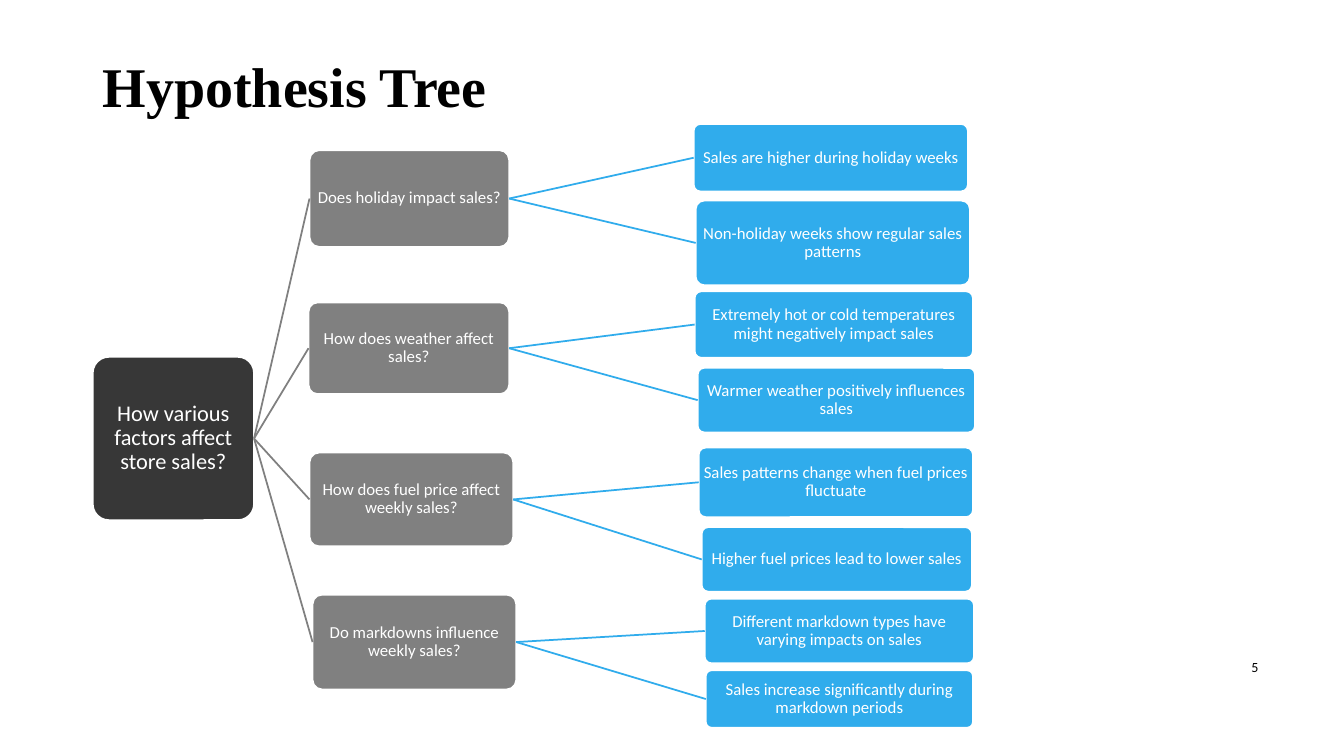
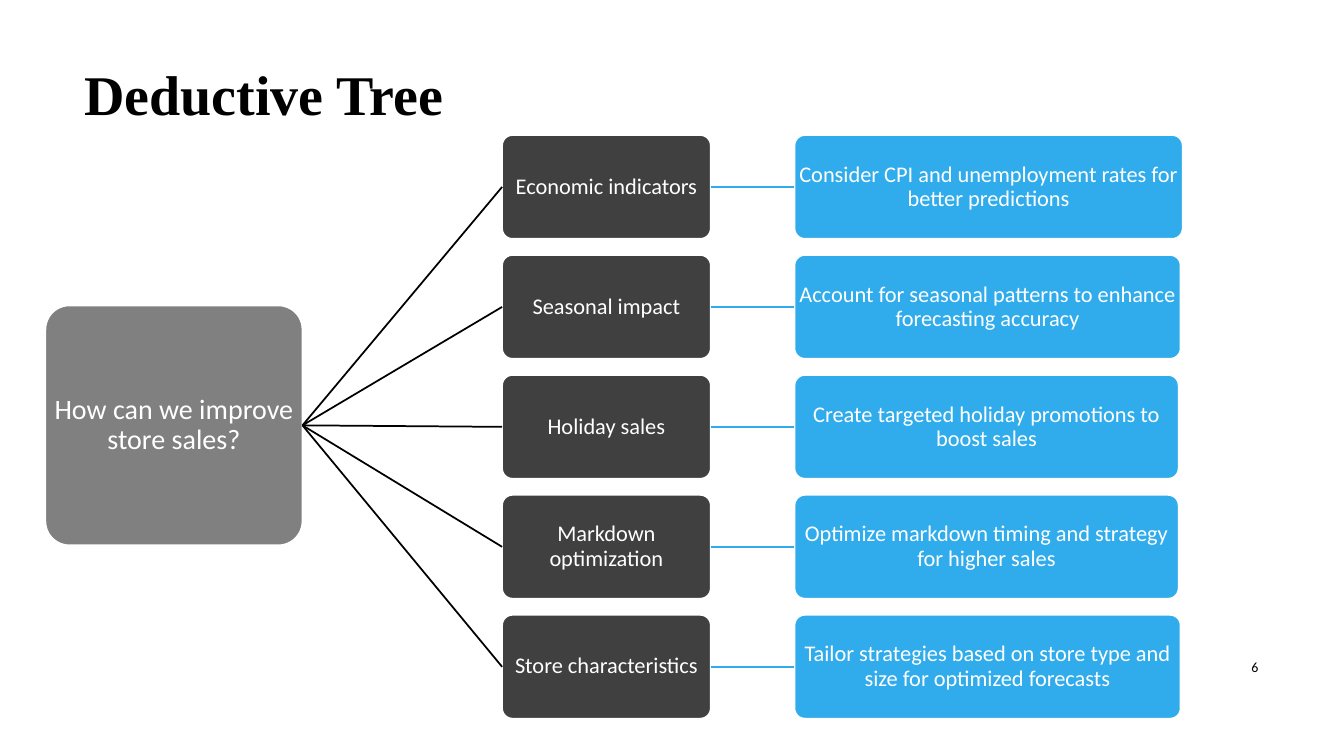
from lxml import etree
from pptx import Presentation
from pptx.dml.color import RGBColor
from pptx.enum.shapes import MSO_CONNECTOR, MSO_SHAPE
from pptx.enum.text import MSO_ANCHOR, PP_ALIGN
from pptx.oxml.ns import qn
from pptx.util import Inches, Pt

ROUND = MSO_SHAPE.ROUNDED_RECTANGLE
STRAIGHT = MSO_CONNECTOR.STRAIGHT
MIDDLE = MSO_ANCHOR.MIDDLE
LEFT, CENTER, RIGHT = PP_ALIGN.LEFT, PP_ALIGN.CENTER, PP_ALIGN.RIGHT
COLORS = {"black": "000000", "white": "FFFFFF", "coal": "373737",
          "dark": "404040", "gray": "808080", "blue": "30ACEC"}
SERIF, SANS = "Times New Roman", "Calibri"
EDGE = 1.25


def color(name):
    return RGBColor.from_string(COLORS[name])


class Deck:
    """Holds the shared style and the current slide."""

    def __init__(self):
        self.prs = Presentation()
        self.prs.slide_width = Inches(13.33)
        self.prs.slide_height = Inches(7.5)
        self.slide = None

    def page(self, title, left, top, number):
        self.slide = self.prs.slides.add_slide(self.prs.slide_layouts[6])
        self.label(title, (left, top, 11.5, 1.45), 40, SERIF, LEFT, True)
        self.label(number, (11.98, 6.42, 0.6, 0.4), 10, SANS, RIGHT)

    def letter(self, shape, text, size, face, ink, align, bold=False):
        frame = shape.text_frame
        frame.word_wrap = True
        frame.vertical_anchor = MIDDLE
        para = frame.paragraphs[0]
        para.text = text
        para.alignment = align
        font = para.font
        font.name, font.size, font.bold = face, Pt(size), bold
        font.color.rgb = color(ink)
        return frame

    def label(self, text, area, size, face, align, bold=False):
        box = self.slide.shapes.add_textbox(*map(Inches, area))
        self.letter(box, text, size, face, "black", align, bold)

    def node(self, text, area, fill, size):
        box = self.slide.shapes.add_shape(ROUND, *map(Inches, area))
        box.adjustments[0] = 0.1
        box.shadow.inherit = False
        box.fill.solid()
        box.fill.fore_color.rgb = color(fill)
        box.line.color.rgb = color("white")
        box.line.width = Pt(EDGE)
        frame = self.letter(box, text, size, SANS, "white", CENTER)
        frame.paragraphs[0].line_spacing = 0.9
        frame.margin_left = frame.margin_right = Inches(0.01)
        frame.margin_top = frame.margin_bottom = Inches(0.01)
        return box

    def link(self, start, end, ink):
        line = self.slide.shapes.add_connector(STRAIGHT, 0, 0, 0, 0)
        line.begin_connect(start, 3)
        line.end_connect(end, 1)
        line.line.color.rgb = color(ink)
        line.line.width = Pt(EDGE)
        etree.SubElement(line._element.spPr, qn("a:effectLst"))

    def child(self, parent, text, area, fill, size, ink):
        box = self.node(text, area, fill, size)
        self.link(parent, box, ink)
        return box


# Each branch: question, area, then its claims with their areas
CAUSES = [
    ("Does holiday impact sales?", (3.07, 1.49, 1.98, 0.96), [
        ("Sales are higher during holiday weeks", (6.88, 1.23, 2.72, 0.67)),
        ("Non-holiday weeks show regular sales patterns",
         (6.9, 1.99, 2.72, 0.84))]),
    ("How does weather affect sales?", (3.06, 3, 1.99, 0.91), [
        ("Extremely hot or cold temperatures might negatively impact sales",
         (6.89, 2.89, 2.76, 0.66)),
        ("Warmer weather positively influences sales",
         (6.92, 3.65, 2.75, 0.64))]),
    ("How does fuel price affect weekly sales?", (3.07, 4.49, 2.02, 0.93), [
        ("Sales patterns change when fuel prices fluctuate",
         (6.93, 4.44, 2.72, 0.69)),
        ("Higher fuel prices lead to lower sales",
         (6.96, 5.23, 2.68, 0.64))]),
    ("Do markdowns influence weekly sales?", (3.1, 5.9, 2.02, 0.94), [
        ("Different markdown types have varying impacts on sales",
         (6.99, 5.94, 2.67, 0.64)),
        ("Sales increase significantly during markdown periods",
         (7, 6.65, 2.65, 0.57))]),
]

# Each row: lever, action, width of the action box
LEVERS = [
    ("Economic indicators",
     "Consider CPI and unemployment rates for better predictions", 3.85),
    ("Seasonal impact",
     "Account for seasonal patterns to enhance forecasting accuracy", 3.83),
    ("Holiday sales",
     "Create targeted holiday promotions to boost sales", 3.81),
    ("Markdown optimization",
     "Optimize markdown timing and strategy for higher sales", 3.81),
    ("Store characteristics",
     "Tailor strategies based on store type and size for optimized forecasts",
     3.83),
]


def main():
    deck = Deck()

    # Hypothesis tree
    deck.page("Hypothesis Tree", 0.92, 0.12, "5")
    root = deck.node("How various factors affect store sales?",
                     (0.92, 3.54, 1.6, 1.62), "coal", 16)
    for ask, area, claims in CAUSES:
        branch = deck.child(root, ask, area, "gray", 12, "gray")
        for claim, spot in claims:
            deck.child(branch, claim, spot, "blue", 12, "blue")

    # Deductive tree
    deck.page("Deductive Tree", 0.74, 0.2, "6")
    root = deck.node("How can we improve store sales?",
                     (0.45, 3.03, 2.55, 2.38), "gray", 20)
    top, pitch, high = 1.34, 1.19, 1.03
    for row, (lever, action, width) in enumerate(LEVERS):
        y = top + row * pitch
        branch = deck.child(root, lever, (4.98, y, 2.07, high),
                            "dark", 16, "black")
        deck.child(branch, action, (7.88, y, width, high),
                   "blue", 16, "blue")

    deck.prs.save("out.pptx")


if __name__ == "__main__":
    main()
